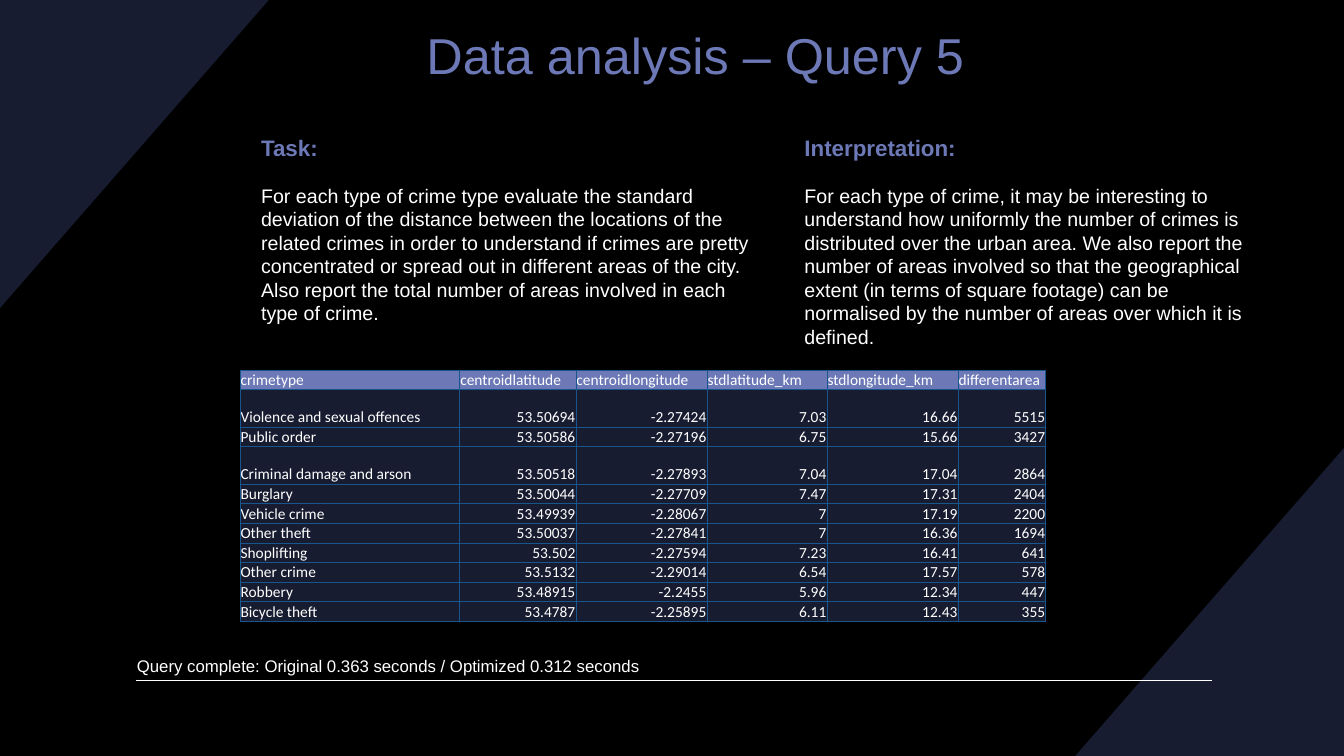
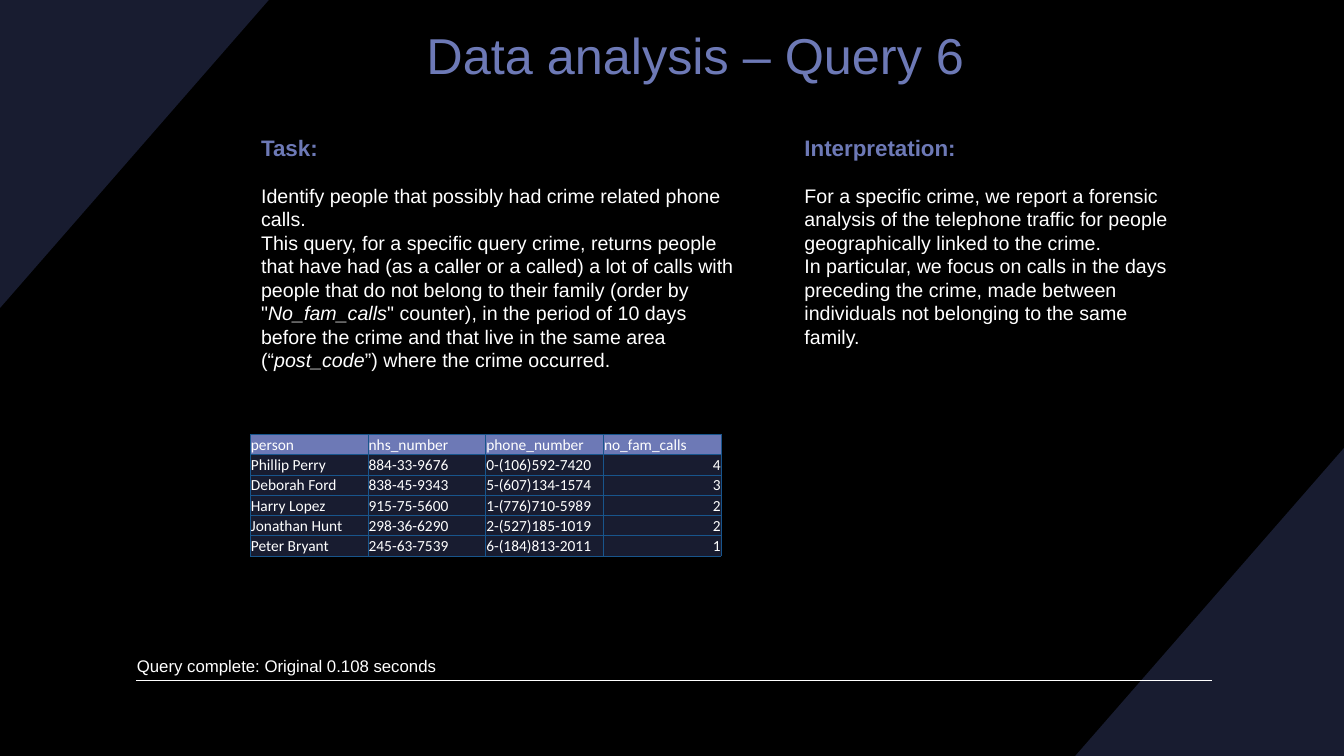
"""Build two query result slides with a shared dark frame."""
from dataclasses import dataclass

from lxml.etree import SubElement as SubEl
from pptx import Presentation as Deck
from pptx.dml.color import RGBColor as RGB
from pptx.enum.shapes import MSO_CONNECTOR as Link
from pptx.enum.text import MSO_ANCHOR as Anchor, MSO_AUTO_SIZE as Fit, PP_ALIGN as Align
from pptx.oxml.ns import qn
from pptx.util import Pt


@dataclass(frozen=True)
class Theme:
    back: str = "000000"
    navy: str = "181C30"
    mauve: str = "6D79B6"
    white: str = "FFFFFF"
    edge: str = "18558C"
    sans: str = "Arial"
    grid: str = "Calibri"
    title: float = 36
    head: float = 16
    body: float = 14
    note: float = 12
    cell: float = 11


LOOK = Theme()
WIDE, HIGH = 960, 540

PAGES = [
    {
        "title": "Data analysis – Query 5",
        "task": [
            "For each type of crime type evaluate the standard deviation of the distance between the "
            "locations of the related crimes in order to understand if crimes are pretty concentrated "
            "or spread out in different areas of the city.",
            "Also report the total number of areas involved in each type of crime.",
        ],
        "sense": [
            "For each type of crime, it may be interesting to understand how uniformly the number of "
            "crimes is distributed over the urban area. We also report the number of areas involved so "
            "that the geographical extent (in terms of square footage) can be normalised by the number "
            "of areas over which it is defined.",
        ],
        "boxes": [(179.3, 92.2, 365, 145.4), (567.4, 92.2, 330.5, 162.7)],
        "note": "Query complete: Original 0.363 seconds / Optimized 0.312 seconds",
        "spot": (171.4, 264.4),
        "cols": [157, 83, 93.6, 85.7, 93.6, 62.7],
        "row": 13.7,
        "tall": {1: 26.7, 3: 26.7},
        "rows": [
            ("crimetype", "centroidlatitude", "centroidlongitude", "stdlatitude_km",
             "stdlongitude_km", "differentarea"),
            ("Violence and sexual offences", 53.50694, -2.27424, 7.03, 16.66, 5515),
            ("Public order", 53.50586, -2.27196, 6.75, 15.66, 3427),
            ("Criminal damage and arson", 53.50518, -2.27893, 7.04, 17.04, 2864),
            ("Burglary", 53.50044, -2.27709, 7.47, 17.31, 2404),
            ("Vehicle crime", 53.49939, -2.28067, 7, 17.19, 2200),
            ("Other theft", 53.50037, -2.27841, 7, 16.36, 1694),
            ("Shoplifting", 53.502, -2.27594, 7.23, 16.41, 641),
            ("Other crime", 53.5132, -2.29014, 6.54, 17.57, 578),
            ("Robbery", 53.48915, -2.2455, 5.96, 12.34, 447),
            ("Bicycle theft", 53.4787, -2.25895, 6.11, 12.43, 355),
        ],
    },
    {
        "title": "Data analysis – Query 6",
        "task": [
            "Identify people that possibly had crime related phone calls.",
            "This query, for a specific query crime, returns people that have had (as a caller or a "
            "called) a lot of calls with people that do not belong to their family (order by "
            "\"*No_fam_calls*\" counter), in the period of 10 days before the crime and that live in "
            "the same area (“*post_code*”) where the crime occurred.",
        ],
        "sense": [
            "For a specific crime, we report a forensic analysis of the telephone traffic for people "
            "geographically linked to the crime.",
            "In particular, we focus on calls in the days preceding the crime, made between "
            "individuals not belonging to the same family.",
        ],
        "boxes": [(179.3, 92.2, 352.8, 179.3), (567.4, 92.2, 280.8, 162.7)],
        "note": "Query complete: Original 0.108 seconds",
        "spot": (178.8, 310.2),
        "cols": [84.1] * 4,
        "row": 14.5,
        "tall": {},
        "rows": [
            ("person", "nhs_number", "phone_number", "no_fam_calls"),
            ("Phillip Perry", "884-33-9676", "0-(106)592-7420", 4),
            ("Deborah Ford", "838-45-9343", "5-(607)134-1574", 3),
            ("Harry Lopez", "915-75-5600", "1-(776)710-5989", 2),
            ("Jonathan Hunt", "298-36-6290", "2-(527)185-1019", 2),
            ("Peter Bryant", "245-63-7539", "6-(184)813-2011", 1),
        ],
    },
]


def assign(item, vals):
    for key, val in vals.items():
        setattr(item, key, val)


def place(shape, box):
    assign(shape, dict(zip(("left", "top", "width", "height"), map(Pt, box))))


def paint(fill, tint):
    fill.solid()
    fill.fore_color.rgb = RGB.from_string(tint)


def write(para, text, size, tint, face=LOOK.sans, bold=False, align=Align.LEFT, gap=0):
    """Fill a paragraph, with the parts between asterisks in italics."""
    assign(para, {"alignment": align, "space_before": Pt(gap), "space_after": Pt(0), "line_spacing": 1.0})
    for num, part in enumerate(text.split("*")):
        run = para.add_run()
        run.text = part
        assign(run.font, {"name": face, "size": Pt(size), "bold": bold, "italic": num % 2 == 1})
        run.font.color.rgb = RGB.from_string(tint)


def setup(frame):
    assign(frame, {"word_wrap": True, "auto_size": Fit.NONE, "vertical_anchor": Anchor.TOP})
    return frame


def add_body(shape, box, head, lines):
    place(shape, box)
    frame = setup(shape.text_frame)
    items = [(head, LOOK.head, LOOK.mauve, True, 0)]
    items += [(line, LOOK.body, LOOK.white, False, 0 if num else 16.1) for num, line in enumerate(lines)]
    for num, (text, size, tint, bold, gap) in enumerate(items):
        para = frame.add_paragraph() if num else frame.paragraphs[0]
        props = para._p.get_or_add_pPr()
        assign_xml = {"marL": "0", "indent": "0"}
        for key, val in assign_xml.items():
            props.set(key, val)
        SubEl(props, qn("a:buNone"))
        write(para, text, size, tint, bold=bold, gap=gap)


def add_note(slide, text):
    box = slide.shapes.add_textbox(Pt(90.7), Pt(465), Pt(579), Pt(21.8))
    write(setup(box.text_frame).paragraphs[0], text, LOOK.note, LOOK.white)


def add_edges(cell):
    props = cell._tc.get_or_add_tcPr()
    for side in ("lnL", "lnR", "lnT", "lnB"):
        line = SubEl(props, qn(f"a:{side}"), w=str(Pt(0.5)))
        SubEl(SubEl(line, qn("a:solidFill")), qn("a:srgbClr"), val=LOOK.edge)


def add_grid(slide, page):
    rows, cols = page["rows"], page["cols"]
    highs = [page["tall"].get(num, page["row"]) for num in range(len(rows))]
    box = (*page["spot"], sum(cols), sum(highs))
    table = slide.shapes.add_table(len(rows), len(cols), *map(Pt, box)).table
    table.horz_banding = False
    for col, wide in zip(table.columns, cols):
        col.width = Pt(wide)
    for num, (row, high, vals) in enumerate(zip(table.rows, highs, rows)):
        row.height = Pt(high)
        for cell, val in zip(row.cells, vals):
            assign(cell, {"margin_left": Pt(0.4), "margin_right": Pt(0.4), "margin_top": Pt(0.4),
                          "margin_bottom": Pt(0), "vertical_anchor": Anchor.BOTTOM})
            add_edges(cell)
            paint(cell.fill, LOOK.navy if num else LOOK.mauve)
            align = Align.LEFT if isinstance(val, str) else Align.RIGHT
            write(cell.text_frame.paragraphs[0], str(val), LOOK.cell, LOOK.white, LOOK.grid, align=align)


def add_wedge(slide, left, top, sign):
    """Draw a corner triangle that reaches inward from a slide corner."""
    form = slide.shapes.build_freeform(Pt(left), Pt(top))
    form.add_line_segments([(Pt(left + sign * 192), Pt(top)), (Pt(left), Pt(top + sign * 220))])
    wedge = form.convert_to_shape()
    wedge.shadow.inherit = False
    paint(wedge.fill, LOOK.navy)
    wedge.line.fill.background()
    return wedge


def add_rule(slide):
    rule = slide.shapes.add_connector(Link.STRAIGHT, Pt(97.2), Pt(486), Pt(865.4), Pt(486))
    rule.line.width = Pt(1)
    rule.line.color.rgb = RGB.from_string(LOOK.white)
    SubEl(rule.element.spPr, qn("a:effectLst"))
    return rule


def dress(layout, slide):
    """Draw the shared frame and move it to the layout."""
    paint(layout.background.fill, LOOK.back)
    place(layout.placeholders[0], (297.4, 13.7, 569, 51))
    parts = [add_wedge(slide, WIDE, HIGH, -1), add_wedge(slide, 0, 0, 1), add_rule(slide)]
    for num, part in enumerate(parts, 101):
        part.element.xpath(".//p:cNvPr")[0].set("id", str(num))
        layout.shapes.element.append(part.element)


def fill_page(slide, page):
    title, task, sense = slide.placeholders
    write(setup(title.text_frame).paragraphs[0], page["title"], LOOK.title, LOOK.mauve)
    add_body(task, page["boxes"][0], "Task:", page["task"])
    add_body(sense, page["boxes"][1], "Interpretation:", page["sense"])
    add_note(slide, page["note"])
    add_grid(slide, page)


def main():
    deck = Deck()
    assign(deck, {"slide_width": Pt(WIDE), "slide_height": Pt(HIGH)})
    layout = deck.slide_layouts[3]
    slides = [deck.slides.add_slide(layout) for _ in PAGES]
    dress(layout, slides[0])
    for slide, page in zip(slides, PAGES):
        fill_page(slide, page)
    deck.save("out.pptx")


if __name__ == "__main__":
    main()
